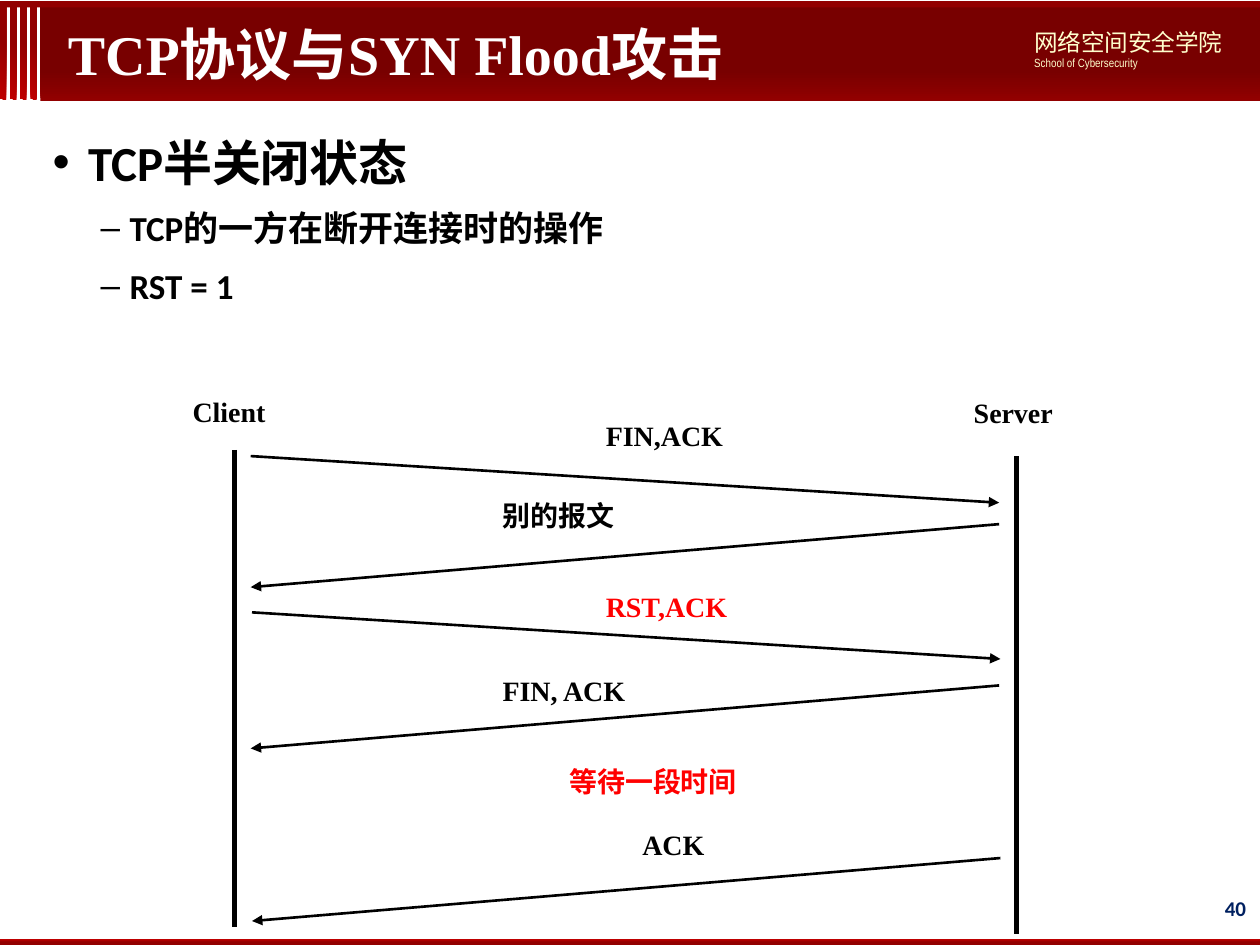
from dataclasses import dataclass

from lxml.etree import SubElement
from pptx import Presentation
from pptx.dml.color import RGBColor
from pptx.enum.shapes import MSO_CONNECTOR, MSO_SHAPE
from pptx.enum.text import MSO_ANCHOR, PP_ALIGN
from pptx.oxml.ns import qn
from pptx.util import Inches, Pt


@dataclass(frozen=True)
class Theme:
    bright_red: str = "C00000"
    red: str = "920000"
    dark_red: str = "780000"
    cream: str = "FFFFCD"
    white: str = "FFFFFF"
    black: str = "000000"
    navy: str = "002060"
    alert: str = "FF0000"
    serif: str = "Times New Roman"
    sans: str = "Calibri"
    narrow: str = "Arial Narrow"
    chinese: str = "Noto Sans CJK SC"
    title_size: float = 32
    heading_size: float = 28
    point_size: float = 20
    label_size: float = 16
    number_size: float = 12
    school_size: float = 13.5
    school_note_size: float = 6.8


class SlideBuilder:
    def __init__(self, slide, theme):
        self.slide = slide
        self.theme = theme

    def bar(self, left, top, width, height, stops, angle=0):
        """Add a borderless bar; stops are (position, colour), angle is clockwise."""
        shape = self.slide.shapes.add_shape(
            MSO_SHAPE.RECTANGLE, Inches(left), Inches(top), Inches(width), Inches(height))
        shape.shadow.inherit = False
        shape.line.fill.background()
        if len(stops) == 1:
            shape.fill.solid()
            shape.fill.fore_color.rgb = RGBColor.from_string(stops[0][1])
            return
        shape.fill.gradient()
        shape.fill.gradient_angle = 360 - angle
        for stop, (position, color) in zip(shape.fill.gradient_stops, stops):
            stop.position = position
            stop.color.rgb = RGBColor.from_string(color)

    def text_frame(self, left, top, width, height, anchor=MSO_ANCHOR.TOP):
        box = self.slide.shapes.add_textbox(
            Inches(left), Inches(top), Inches(width), Inches(height))
        frame = box.text_frame
        frame.word_wrap = True
        frame.vertical_anchor = anchor
        return frame

    def set_text(self, paragraph, text, size, font, color, bold=True):
        paragraph.text = text
        paragraph.font.size = Pt(size)
        paragraph.font.bold = bold
        paragraph.font.name = font
        paragraph.font.color.rgb = RGBColor.from_string(color)
        properties = paragraph._p.pPr.find(qn("a:defRPr"))
        SubElement(properties, qn("a:ea"), typeface=self.theme.chinese)

    def bullet(self, paragraph, character, margin, hanging, text, size):
        properties = paragraph._p.get_or_add_pPr()
        properties.set("marL", str(Inches(margin)))
        properties.set("indent", str(-Inches(hanging)))
        paragraph.line_spacing = 1.2
        SubElement(properties, qn("a:buFont"), typeface="Arial")
        SubElement(properties, qn("a:buChar"), char=character)
        self.set_text(paragraph, text, size, self.theme.sans, self.theme.black)

    def label(self, left, top, width, text, color=None):
        frame = self.text_frame(left, top, width, 0.37)
        self.set_text(frame.paragraphs[0], text, self.theme.label_size,
                      self.theme.serif, color or self.theme.black)

    def line(self, start, end, width, arrow=False):
        connector = self.slide.shapes.add_connector(
            MSO_CONNECTOR.STRAIGHT, *(Inches(value) for value in start + end))
        connector.line.width = Pt(width)
        connector.line.color.rgb = RGBColor.from_string(self.theme.black)
        if arrow:
            SubElement(connector.line._get_or_add_ln(), qn("a:tailEnd"), type="triangle")
        SubElement(connector._element.spPr, qn("a:effectLst"))


def main():
    theme = Theme()
    presentation = Presentation()
    presentation.slide_width = Inches(10)
    presentation.slide_height = Inches(7.5)
    slide = presentation.slides.add_slide(presentation.slide_layouts[6])
    builder = SlideBuilder(slide, theme)

    # Header and footer bars
    stripe_stops = [(0, theme.bright_red), (0.62, theme.red)]
    for index in range(4):
        builder.bar(0.08 * index, 0.05, 0.05, 0.74, stripe_stops, 315)
    builder.bar(0.32, 0.06, 9.68, 0.74, [(0, theme.red), (0.32, theme.dark_red)], 270)
    builder.bar(0, 7.45, 10.01, 0.05, [(0.1, theme.bright_red), (0.54, theme.red)], 90)
    builder.bar(-0.01, 0.01, 10.01, 0.05, [(0, theme.red)])

    # Slide number
    frame = builder.text_frame(7.63, 7.01, 2.33, 0.4, MSO_ANCHOR.MIDDLE)
    frame.margin_left = frame.margin_right = Inches(0.07)
    frame.margin_top = frame.margin_bottom = Inches(0.04)
    number = frame.paragraphs[0]
    number.alignment = PP_ALIGN.RIGHT
    builder.set_text(number, "40", theme.number_size, theme.sans, theme.navy)

    # School name
    frame = builder.text_frame(8.11, 0.17, 1.81, 0.44)
    builder.set_text(frame.paragraphs[0], "网络空间安全学院", theme.school_size,
                     theme.chinese, theme.cream, bold=False)
    builder.set_text(frame.add_paragraph(), "School of Cybersecurity",
                     theme.school_note_size, theme.narrow, theme.cream, bold=False)

    # Title
    frame = builder.text_frame(0.44, 0.05, 6.77, 0.74, MSO_ANCHOR.MIDDLE)
    builder.set_text(frame.paragraphs[0], "TCP协议与SYN Flood攻击", theme.title_size,
                     theme.serif, theme.white)

    # Bullet points
    frame = builder.text_frame(0.32, 0.91, 9.31, 6.1)
    builder.bullet(frame.paragraphs[0], "•", 0.28, 0.28, "TCP半关闭状态", theme.heading_size)
    for text in ("TCP的一方在断开连接时的操作", "RST = 1"):
        paragraph = frame.add_paragraph()
        paragraph.level = 1
        paragraph.space_before = Pt(0.2 * theme.point_size)
        builder.bullet(paragraph, "–", 0.61, 0.23, text, theme.point_size)

    # Client and server lifelines
    for name, left, label_top, x, top in (
            ("Client", 1.43, 3.08, 1.86, 3.57), ("Server", 7.63, 3.09, 8.07, 3.62)):
        builder.line((x, top), (x, top + 3.79), 3)
        builder.label(left, label_top, 0.87, name)

    # Messages: those to the server drop 0.37, those to the client drop 0.5
    client_x, server_x = 1.99, 7.93
    for to_server, top, shift in (
            (True, 3.62, 0), (False, 4.16, 0), (True, 4.86, 0.01),
            (False, 5.44, 0), (False, 6.81, 0.01)):
        start_x, end_x = (client_x, server_x) if to_server else (server_x, client_x)
        drop = 0.37 if to_server else 0.5
        builder.line((start_x + shift, top), (end_x + shift, top + drop), 1.5, arrow=True)

    # Message labels
    builder.label(4.71, 3.27, 1.38, "FIN,ACK")
    builder.label(3.89, 3.91, 1.38, "别的报文")
    builder.label(4.71, 4.63, 1.25, "RST,ACK", theme.alert)
    builder.label(3.89, 5.3, 1.38, "FIN, ACK")
    builder.label(4.42, 6.02, 1.62, "等待一段时间", theme.alert)
    builder.label(5, 6.52, 0.84, "ACK")

    presentation.save("out.pptx")


if __name__ == "__main__":
    main()
